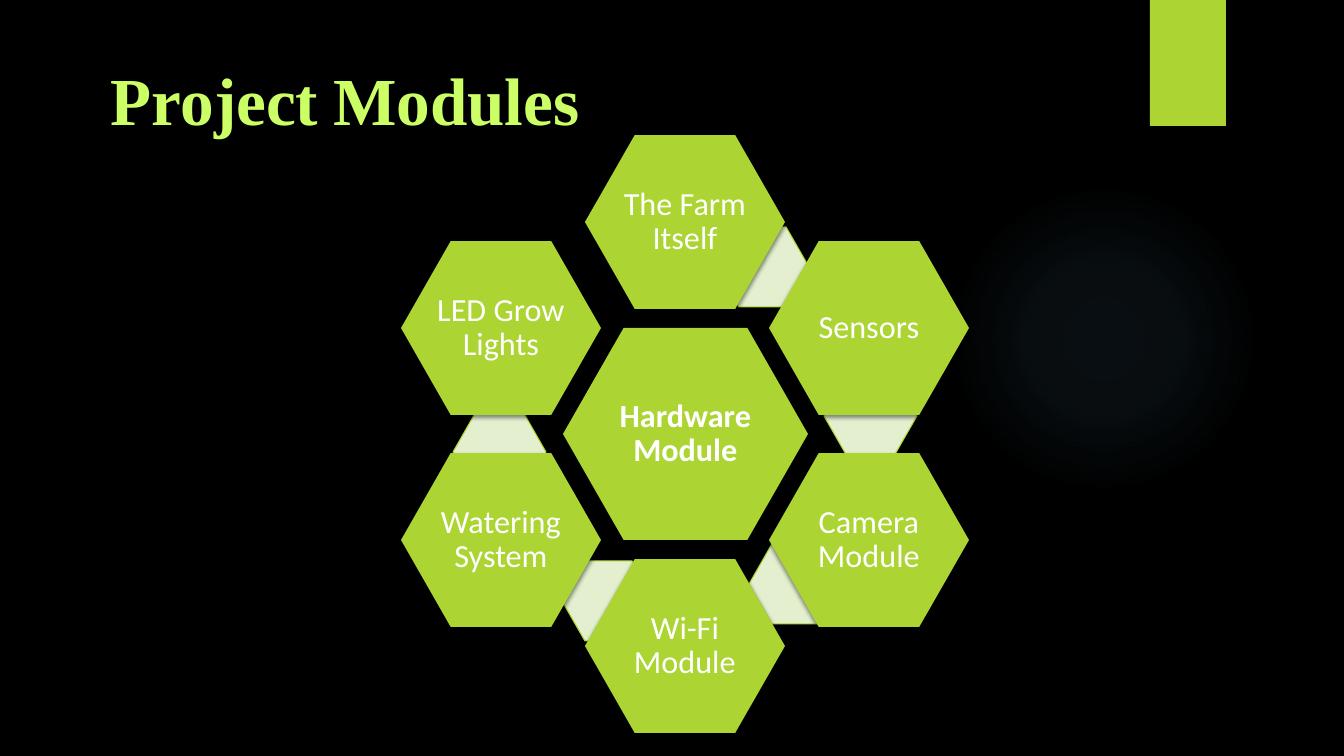
from dataclasses import dataclass
from typing import Optional

from pptx import Presentation
from pptx import util as u
from pptx.dml.color import RGBColor
from pptx.enum import shapes, text
from pptx.oxml import parse_xml
from pptx.oxml.ns import nsdecls, qn

EMU_PER_PX = 914400 / 100.8
LIME, PALE, WHITE, BLACK = "ACD433", "E3EFCE", "FFFFFF", "000000"
TITLE_LIME, GLOW_BLUE = "CCFF66", "7AC4F0"
HUB_X, HUB_Y = 685, 434
STEP_X, STEP_Y = 184, 106
HEXAGON_ADJUST = 0.286
LABEL_FONT = {"name": "Calibri", "size": u.Pt(23)}
TITLE_FONT = {"name": "Times New Roman", "size": u.Pt(48), "bold": True}
GAP_FONT = {"name": "League Spartan", "size": u.Pt(42), "bold": False}


@dataclass(frozen=True)
class Box:
    left: int
    top: int
    width: int
    height: int


@dataclass(frozen=True)
class Module:
    label: str
    column: int  # steps right of the hub
    row: int  # steps below the hub
    link: Optional[Box] = None


MODULES = [
    Module("The Farm Itself", 0, -2, Box(716, 227, 93, 80)),
    Module("Sensors", 1, -1, Box(824, 376, 93, 80)),
    Module("Camera Module", 1, 1, Box(749, 544, 93, 80)),
    Module("Wi-Fi Module", 0, 2, Box(562, 561, 93, 80)),
    Module("Watering System", -1, 1, Box(453, 412, 93, 80)),
    Module("LED Grow Lights", -1, -1),
]


def px(length: float) -> u.Emu:
    return u.Emu(round(length * EMU_PER_PX))


def color(value: str) -> RGBColor:
    return RGBColor.from_string(value)


def place(box: Box) -> tuple:
    return px(box.left), px(box.top), px(box.width), px(box.height)


def centered(x: int, y: int, width: int, height: int) -> Box:
    return Box(x - width // 2, y - height // 2, width, height)


def set_format(target, values: dict) -> None:
    for name, value in values.items():
        setattr(target, name, value)


def add_run(paragraph, words: str, font: dict, fill: str) -> None:
    run = paragraph.add_run()
    run.text = words
    set_format(run.font, font)
    run.font.color.rgb = color(fill)


def add_shape(slide, kind, box: Box, fill: str, line: Optional[str] = None):
    shape = slide.shapes.add_shape(kind, *place(box))
    shape.shadow.inherit = False
    shape.fill.solid()
    shape.fill.fore_color.rgb = color(fill)
    if line:
        shape.line.color.rgb = color(line)
        shape.line.width = u.Pt(0.75)
    else:
        shape.line.fill.background()
    return shape


def add_shadow(shape) -> None:
    effects = shape._element.spPr.find(qn("a:effectLst"))
    effects.append(parse_xml(
        f'<a:outerShdw {nsdecls("a")} blurRad="{u.Pt(3)}" dist="{u.Pt(2)}" '
        f'dir="5400000" rotWithShape="0"><a:srgbClr val="{BLACK}">'
        '<a:alpha val="45000"/></a:srgbClr></a:outerShdw>'))


def add_glow(slide, box: Box, fill: str) -> None:
    shape = add_shape(slide, shapes.MSO_SHAPE.OVAL, box, fill)
    stops = "".join(
        f'<a:gs pos="{position}000"><a:srgbClr val="{fill}">'
        f'<a:alpha val="{alpha}000"/></a:srgbClr></a:gs>'
        for position, alpha in ((0, 7), (36, 6), (69, 0)))
    gradient = parse_xml(
        f'<a:gradFill {nsdecls("a")}><a:gsLst>{stops}</a:gsLst>'
        '<a:path path="circle"><a:fillToRect l="50000" t="50000" '
        'r="50000" b="50000"/></a:path></a:gradFill>')
    properties = shape._element.spPr
    properties.replace(properties.find(qn("a:solidFill")), gradient)


def add_hexagon(slide, box: Box, label: str, bold: bool = False):
    shape = add_shape(slide, shapes.MSO_SHAPE.HEXAGON, box, LIME)
    shape.adjustments[0] = HEXAGON_ADJUST
    frame = shape.text_frame
    set_format(frame, {
        "word_wrap": True, "vertical_anchor": text.MSO_ANCHOR.MIDDLE,
        "margin_left": px(3), "margin_right": px(3),
        "margin_top": px(3), "margin_bottom": px(3)})
    paragraph = frame.paragraphs[0]
    set_format(paragraph, {"alignment": text.PP_ALIGN.CENTER, "line_spacing": 0.9})
    add_run(paragraph, label, LABEL_FONT | {"bold": bold}, WHITE)
    return shape


def add_module(slide, module: Module) -> None:
    if module.link:
        link = add_shape(slide, shapes.MSO_SHAPE.HEXAGON, module.link, PALE, LIME)
        link.adjustments[0] = HEXAGON_ADJUST
    box = centered(HUB_X + module.column * STEP_X,
                   HUB_Y + module.row * STEP_Y, 200, 174)
    add_shadow(add_hexagon(slide, box, module.label))


def add_title(slide, box: Box) -> None:
    frame = slide.shapes.add_textbox(*place(box)).text_frame
    set_format(frame, {"word_wrap": True,
                       "vertical_anchor": text.MSO_ANCHOR.MIDDLE})
    paragraph = frame.paragraphs[0]
    add_run(paragraph, "Project", TITLE_FONT, TITLE_LIME)
    add_run(paragraph, " ", GAP_FONT, TITLE_LIME)
    add_run(paragraph, "Modules", TITLE_FONT, TITLE_LIME)


def main() -> None:
    presentation = Presentation()
    presentation.slide_width, presentation.slide_height = px(1344), px(756)
    slide = presentation.slides.add_slide(presentation.slide_layouts[6])

    # Background, glow and corner tab
    slide.background.fill.solid()
    slide.background.fill.fore_color.rgb = color(BLACK)
    add_glow(slide, Box(949, 184, 310, 310), GLOW_BLUE)
    add_shadow(add_shape(slide, shapes.MSO_SHAPE.RECTANGLE,
                         Box(1150, 0, 76, 126), LIME))

    add_title(slide, Box(101, 45, 1141, 107))

    # Hub and the ring of modules
    add_hexagon(slide, centered(HUB_X, HUB_Y, 245, 212), "Hardware Module", bold=True)
    for module in MODULES:
        add_module(slide, module)

    presentation.save("out.pptx")


if __name__ == "__main__":
    main()
